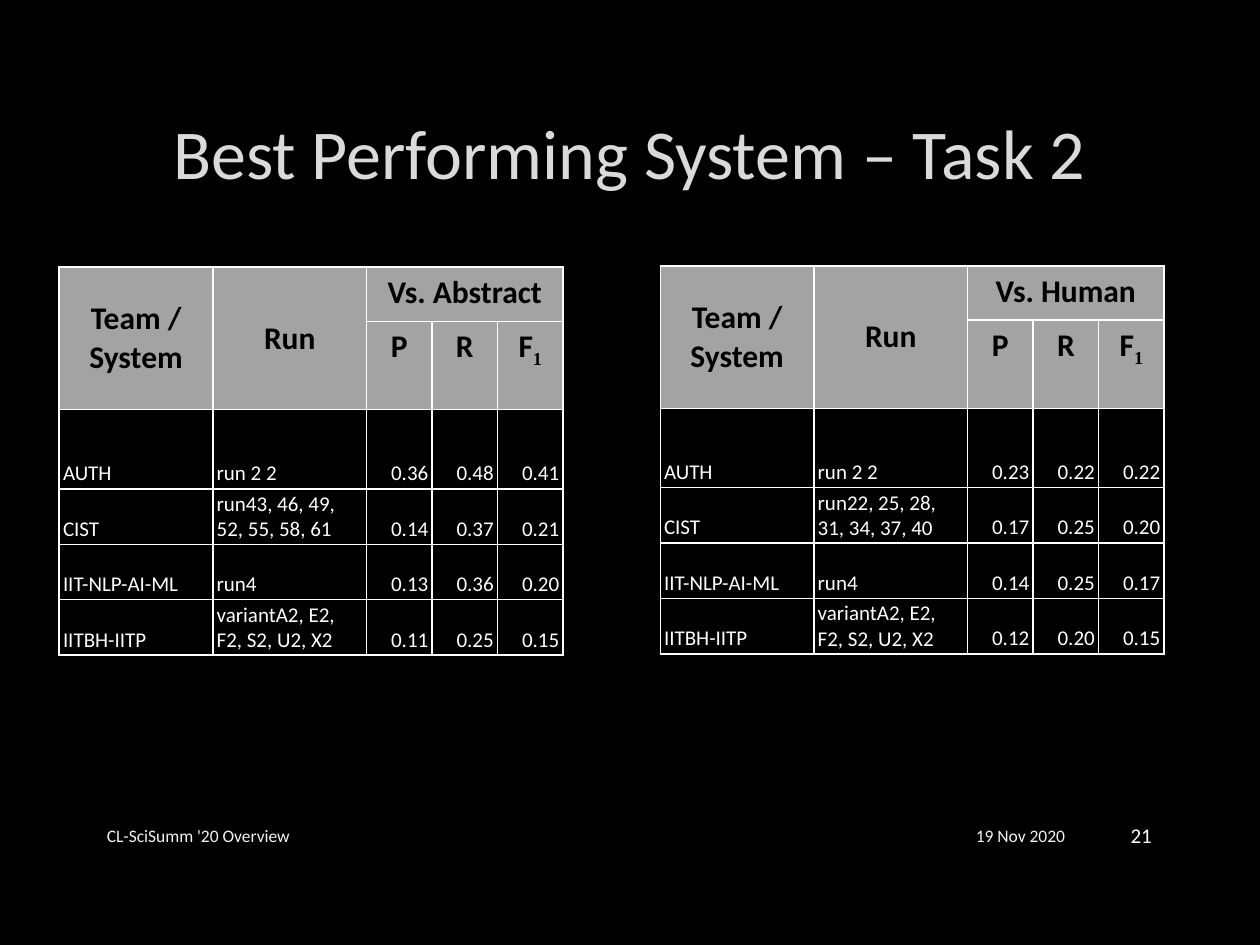
"""Build the slide that lists the best performing systems for Task 2."""
import pptx
import pptx.util
import pptx.dml.color
import pptx.enum.text
import pptx.oxml
import pptx.oxml.ns

IN, PT = pptx.util.Inches, pptx.util.Pt
ALIGN = pptx.enum.text.PP_ALIGN
ANCHOR = pptx.enum.text.MSO_ANCHOR
WIDTH, HEIGHT = 10, 7.5
COLORS = {"back": "000000", "title": "DADADA", "outline": "404040", "header": "A3A3A3",
          "header_text": "000000", "body": "FFFFFF", "footer": "F2F2F2", "border": "FFFFFF"}
COLS = [1.22, 1.22, 0.52, 0.52, 0.52]
ROWS = [0.43, 0.44, 0.63, 0.44, 0.44, 0.44]
HEADER = {"margin_left": IN(0.1), "margin_right": IN(0.1),
          "margin_top": IN(0.05), "margin_bottom": IN(0.05)}
BODY = {"margin_left": IN(0.03), "margin_right": IN(0.03), "margin_top": IN(0.02),
        "margin_bottom": IN(0.02), "vertical_anchor": ANCHOR.BOTTOM}
ABSTRACT = [
    ["AUTH", "run 2 2", "0.36", "0.48", "0.41"],
    ["CIST", "run43, 46, 49, 52, 55, 58, 61", "0.14", "0.37", "0.21"],
    ["IIT-NLP-AI-ML", "run4", "0.13", "0.36", "0.20"],
    ["IITBH-IITP", "variantA2, E2, F2, S2, U2, X2", "0.11", "0.25", "0.15"],
]
HUMAN = [
    ["AUTH", "run 2 2", "0.23", "0.22", "0.22"],
    ["CIST", "run22, 25, 28, 31, 34, 37, 40", "0.17", "0.25", "0.20"],
    ["IIT-NLP-AI-ML", "run4", "0.14", "0.25", "0.17"],
    ["IITBH-IITP", "variantA2, E2, F2, S2, U2, X2", "0.12", "0.20", "0.15"],
]


def apply(obj, values):
    for name, value in values.items():
        setattr(obj, name, value)


def rgb(name):
    return pptx.dml.color.RGBColor.from_string(COLORS[name])


def line_xml(tag, color, width, alpha=100):
    return pptx.oxml.parse_xml(
        f'<a:{tag} {pptx.oxml.ns.nsdecls("a")} w="{PT(width)}"><a:solidFill>'
        f'<a:srgbClr val="{COLORS[color]}"><a:alpha val="{alpha * 1000}"/></a:srgbClr>'
        f'</a:solidFill></a:{tag}>')


def add_run(p, text, color, size, bold=False, font="Calibri"):
    r = p.add_run()
    r.text = text
    apply(r.font, {"name": font, "size": PT(size), "bold": bold})
    r.font.color.rgb = rgb(color)
    return r


def add_title(s, text):
    sp = s.shapes.title
    apply(sp, {"left": IN(0.75), "top": IN(0.67), "width": IN(8.49), "height": IN(1.06)})
    sp.text_frame.vertical_anchor = ANCHOR.MIDDLE
    p = sp.text_frame.paragraphs[0]
    p.alignment = ALIGN.CENTER
    r = add_run(p, text, "title", 40)
    r._r.get_or_add_rPr().insert(0, line_xml("ln", "outline", 0.75, 10))


def add_footer(s, text, left, width, align, color="footer", size=10):
    tf = s.shapes.add_textbox(IN(left), IN(6.43), IN(width), IN(0.4)).text_frame
    apply(tf, {"word_wrap": True, "vertical_anchor": ANCHOR.MIDDLE})
    p = tf.paragraphs[0]
    p.alignment = align
    add_run(p, text, color, size)


def style_cell(cell, is_header):
    apply(cell, HEADER if is_header else BODY)
    for tag in ("lnL", "lnR", "lnT", "lnB"):
        cell._tc.get_or_add_tcPr().append(line_xml(tag, "border", 1))
    if is_header:
        cell.fill.solid()
        cell.fill.fore_color.rgb = rgb("header")
    else:
        cell.fill.background()


def fill_cell(cell, text, is_header, align):
    p = cell.text_frame.paragraphs[0]
    p.alignment = align
    if is_header:
        return add_run(p, text, "header_text", 18, True)
    return add_run(p, text, "body", 12)


def add_scores(s, left, top, heading, scores):
    table = s.shapes.add_table(len(ROWS), len(COLS), IN(left), IN(top),
                               IN(sum(COLS)), IN(sum(ROWS))).table
    apply(table, {"first_row": False, "horz_banding": False})
    for col, width in zip(table.columns, COLS):
        col.width = IN(width)
    for row, height in zip(table.rows, ROWS):
        row.height = IN(height)
    grid = [["Team / System", "Run", heading, "", ""], ["", "", "P", "R", "F"], *scores]
    for i, row in enumerate(grid):
        for j, text in enumerate(row):
            is_header = i < 2
            style_cell(table.cell(i, j), is_header)
            if text:
                align = ALIGN.CENTER if is_header else ALIGN.RIGHT if j > 1 else ALIGN.LEFT
                fill_cell(table.cell(i, j), text, is_header, align)
    p = table.cell(1, 4).text_frame.paragraphs[0]
    r = add_run(p, "1", "header_text", 18, True, "Times New Roman")
    r._r.get_or_add_rPr().set("baseline", "-25000")
    for j in range(2):
        table.cell(0, j).merge(table.cell(1, j))
        table.cell(0, j).vertical_anchor = ANCHOR.MIDDLE
    table.cell(0, 2).merge(table.cell(0, 4))


def main():
    prs = pptx.Presentation()
    apply(prs, {"slide_width": IN(WIDTH), "slide_height": IN(HEIGHT)})
    s = prs.slides.add_slide(prs.slide_layouts[5])
    s.background.fill.solid()
    s.background.fill.fore_color.rgb = rgb("back")
    add_title(s, "Best Performing System – Task 2")
    add_footer(s, "21", 8.62, 0.62, ALIGN.RIGHT, "body", 12)
    add_footer(s, "19 Nov 2020", 6.3, 2.25, ALIGN.RIGHT)
    add_footer(s, "CL-SciSumm '20 Overview", 0.75, 5.47, ALIGN.LEFT)
    add_scores(s, 0.47, 2.12, "Vs. Abstract", ABSTRACT)
    add_scores(s, 5.24, 2.11, "Vs. Human", HUMAN)
    prs.save("out.pptx")


if __name__ == "__main__":
    main()
